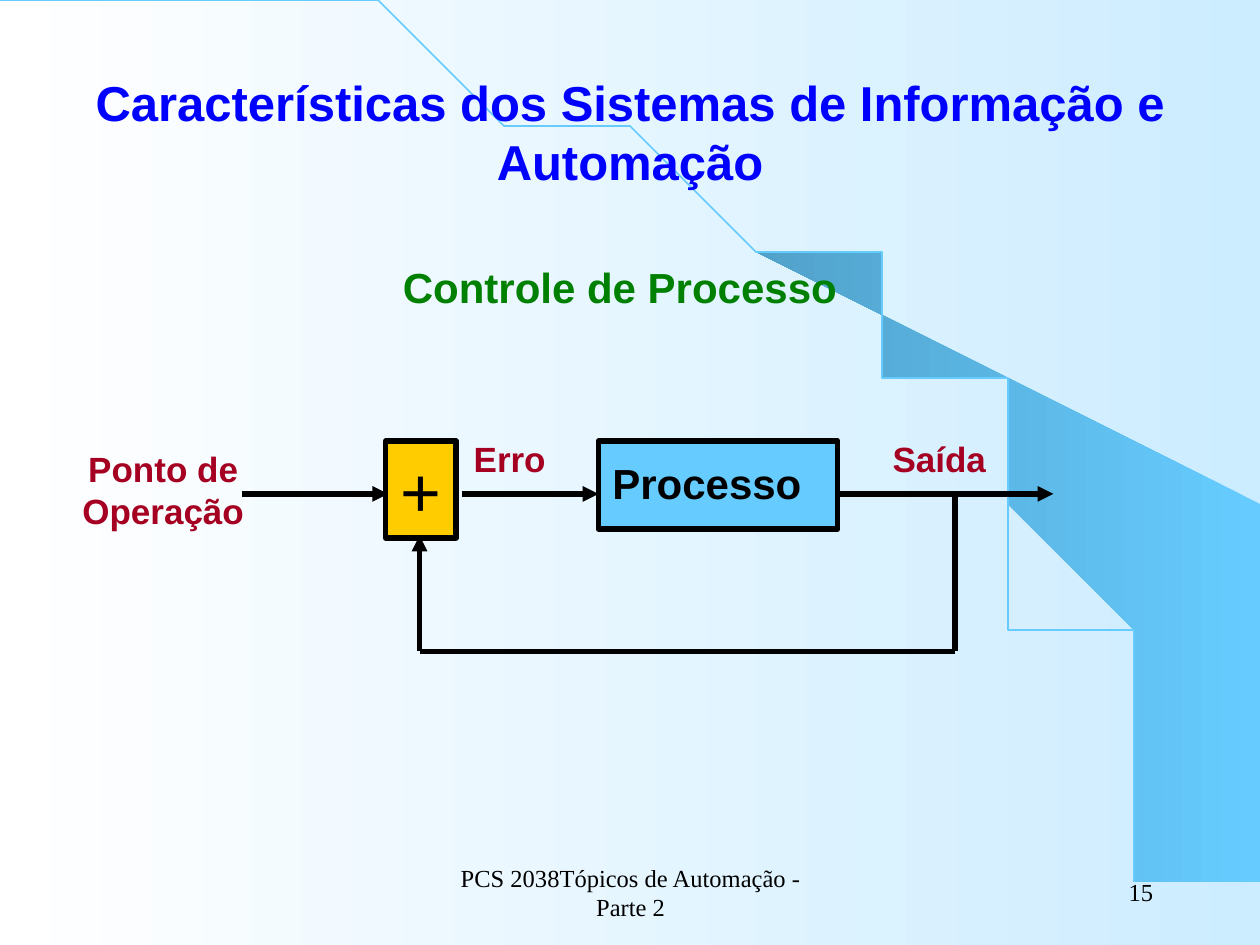
from math import cos, sin, pi
from lxml.etree import SubElement
from pptx import Presentation
from pptx.dml.color import RGBColor
from pptx.enum.shapes import MSO_CONNECTOR as Link, MSO_SHAPE as Kind
from pptx.enum.text import MSO_ANCHOR as Anchor, MSO_AUTO_SIZE as Fit, PP_ALIGN as Align
from pptx.oxml.ns import qn
from pptx.util import Inches, Pt

BLACK = RGBColor(0, 0, 0)
WHITE = RGBColor(0xFF, 0xFF, 0xFF)
BLUE = RGBColor(0, 0, 0xFF)
GREEN = RGBColor(0, 0x80, 0)
RED = RGBColor(0xA5, 0, 0x21)
GOLD = RGBColor(0xFF, 0xCC, 0)
SKY = RGBColor(0x66, 0xCC, 0xFF)
DEEP = RGBColor(0x51, 0xA2, 0xCB)
PALE = RGBColor(0xCC, 0xEC, 0xFF)
WIDE, HIGH = 10, 7.5

# Content: wording, place, size, colour, bold
HEAD = ("Controle de Processo", (0.67, 1.92, 8.5, 0.71), 24, GREEN, True)
LABELS = [
    ("Processo", (4.75, 3.58, 1.72, 0.5), 24, BLACK, True),
    ("Ponto de Operação", (0.25, 3.5, 2.09, 0.77), 20, RED, True),
    ("Erro", (3.42, 3.42, 1.25, 0.44), 20, RED, True),
    ("Saída", (6.83, 3.42, 1.25, 0.44), 20, RED, True),
]
TOPIC = ("Características dos Sistemas de Informação e Automação",
         (0, 0.58, WIDE, 0.92), 28, BLUE, True)
FOOT = ("PCS 2038Tópicos de Automação - Parte 2", (3.42, 6.83, 3.17, 0.5), 14, BLACK, False)
PAGE = ("15", (7.17, 6.83, 2.08, 0.5), 14, BLACK, False)
SUM = ("+", (3.06, 3.5, 0.56, 0.77), 40, BLACK, False)
PLANT = (4.75, 3.5, 1.9, 0.7)

# Flow: main row, feedback row, and the two feedback columns
ROW, BACK, LEFT, RIGHT = 3.92, 5.17, 3.33, 7.58
LINES = [  # start, end, arrow
    ((RIGHT, BACK), (LEFT, BACK), False),
    ((3.67, ROW), (4.75, ROW), True),
    ((6.67, ROW), (8.36, ROW), True),
    ((1.92, ROW), (3.08, ROW), True),
    ((LEFT, BACK), (LEFT, 4.25), True),
    ((RIGHT, ROW), (RIGHT, BACK), False),
]
FIN = [(9.2, 7.48), (9.99, 7.49), (9.99, 4.23), (5.89, 1.73), (6.24, 1.99),
       (6.53, 2.22), (6.85, 2.5), (7.16, 2.8), (7.62, 3.3), (8.03, 3.84),
       (8.32, 4.31), (8.58, 4.79), (8.78, 5.27), (8.93, 5.72), (9.03, 6.09),
       (9.12, 6.56), (9.17, 6.96)]
STEPS = 60
ARC = [(9.2 * sin(a), 7.49 * (1 - cos(a)))
       for a in (pi / 2 * i / STEPS for i in range(STEPS + 1))]

deck = Presentation()
deck.slide_width, deck.slide_height = Inches(WIDE), Inches(HIGH)
slide = deck.slides.add_slide(deck.slide_layouts[5])
shapes = slide.shapes


def inch(nums):
    return [Inches(n) for n in nums]


def blend(fill, first, last):
    fill.gradient()
    fill.gradient_angle = 180
    for stop, color in zip(fill.gradient_stops, (first, last)):
        stop.color.rgb = color


def trace(points, close):
    pen = shapes.build_freeform(*points[0], scale=Inches(1))
    pen.add_line_segments(points[1:], close=close)
    shape = pen.convert_to_shape()
    shape.shadow.inherit = False
    return shape


def write(shape, item, font="Arial", align=Align.CENTER, anchor=Anchor.TOP):
    text, _, size, color, bold = item
    frame = shape.text_frame
    frame.word_wrap, frame.auto_size = True, Fit.NONE
    frame.vertical_anchor = anchor
    para = frame.paragraphs[0]
    para.alignment = align
    run = para.add_run()
    run.text = text
    run.font.name, run.font.size, run.font.bold = font, Pt(size), bold
    run.font.color.rgb = color


def label(item, **look):
    write(shapes.add_textbox(*inch(item[1])), item, **look)


def block(place, color):
    shape = shapes.add_shape(Kind.RECTANGLE, *inch(place))
    shape.shadow.inherit = False
    shape.fill.solid()
    shape.fill.fore_color.rgb = color
    shape.line.color.rgb, shape.line.width = BLACK, Pt(3)
    return shape


def link(start, end, arrow):
    line = shapes.add_connector(Link.STRAIGHT, *inch(start + end))
    line.line.color.rgb, line.line.width = BLACK, Pt(3)
    if arrow:
        SubElement(line.line._get_or_add_ln(), qn("a:tailEnd"), type="triangle")
    SubElement(line._element.spPr, qn("a:effectLst"))


# Backdrop
blend(slide.background.fill, PALE, WHITE)
fin = trace(FIN, True)
blend(fin.fill, SKY, DEEP)
fin.line.fill.background()
arc = trace(ARC, False)
arc.fill.background()
arc.line.color.rgb, arc.line.width = SKY, Pt(1)

# Title, in front of the backdrop
title = shapes.title
title.left, title.top, title.width, title.height = inch(HEAD[1])
write(title, HEAD, anchor=Anchor.MIDDLE)
arc._element.addnext(title._element)

# Control loop
block(PLANT, SKY)
write(block(SUM[1], GOLD), SUM)
for line in LINES:
    link(*line)

# Texts
for item in LABELS:
    label(item)
label(TOPIC, anchor=Anchor.MIDDLE)
label(FOOT, font="Times New Roman", anchor=Anchor.MIDDLE)
label(PAGE, font="Times New Roman", align=Align.RIGHT, anchor=Anchor.MIDDLE)

deck.save("out.pptx")
